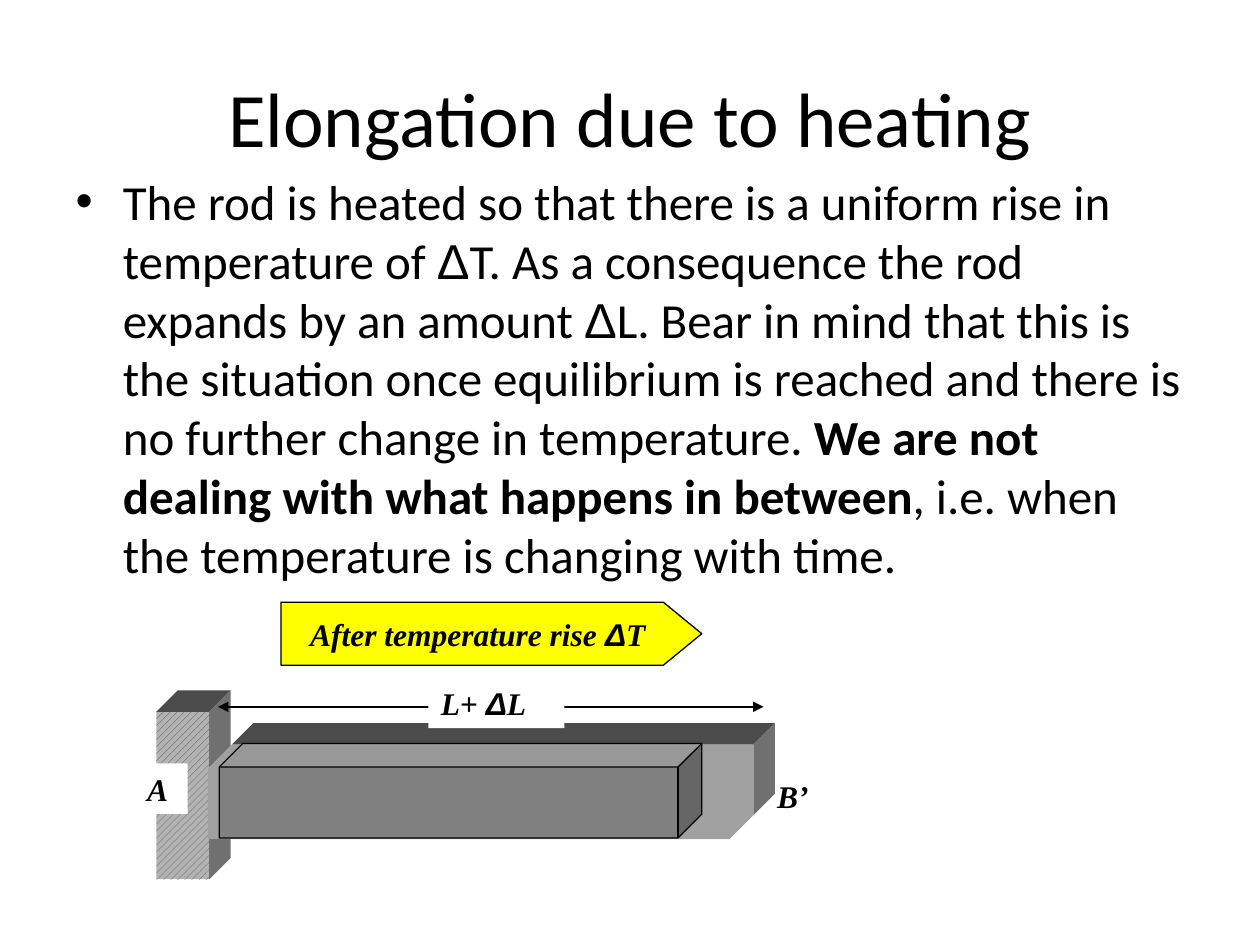
from lxml.etree import SubElement
from pptx import Presentation
from pptx.dml.color import RGBColor
from pptx.enum.dml import MSO_PATTERN as PATTERN
from pptx.enum.shapes import MSO_CONNECTOR as CONNECTOR, MSO_SHAPE as SHAPE
from pptx.enum.text import MSO_ANCHOR as ANCHOR, PP_ALIGN as ALIGN
from pptx.oxml.ns import qn
from pptx.util import Inches, Pt


def color(value):
    return RGBColor.from_string(value)


def write(paragraph, text, font_name, size):
    paragraph.font.size = Pt(size)
    paragraph.font.color.rgb = color("000000")
    for index, part in enumerate(text.split("Δ")):
        if index:
            delta = paragraph.add_run()
            delta.text = "Δ"
            delta.font.name = "Arial"
        if part:
            run = paragraph.add_run()
            run.text = part
            run.font.name = font_name


presentation = Presentation()
presentation.slide_width = Inches(10)
presentation.slide_height = Inches(7.5)
slide = presentation.slides.add_slide(presentation.slide_layouts[1])
shapes = slide.shapes

title = shapes.title
body = slide.placeholders[1]
for placeholder, top, height in ((title, 0.3, 1.25), (body, 1.31, 4.95)):
    placeholder.left, placeholder.width = Inches(0.5), Inches(9)
    placeholder.top, placeholder.height = Inches(top), Inches(height)

write(title.text_frame.paragraphs[0], "Elongation due to heating", "Calibri", 44)
paragraph = body.text_frame.paragraphs[0]
write(paragraph, "The rod is heated so that there is a uniform rise in temperature of ΔT. "
      "As a consequence the rod expands by an amount ΔL. Bear in mind that this is the "
      "situation once equilibrium is reached and there is no further change in temperature. ",
      "Calibri", 28)
for text, bold in (("We are not dealing with what happens in between", True),
                   (", i.e. when the temperature is changing with time.", False)):
    run = paragraph.add_run()
    run.text = text
    run.font.name = "Calibri"
    run.font.bold = bold

depth = 0.17
wall_left, wall_top, wall_right, wall_bottom = 1.24, 5.65, 1.66, 6.98
rod_left, rod_top, rod_right, rod_bottom, bevel = 1.65, 5.91, 5.98, 6.66, 0.19
faces = [
    ("4B4B4B", [(wall_left, wall_top), (wall_left + depth, wall_top - depth),
                (wall_right + depth, wall_top - depth), (wall_right, wall_top)]),
    ("707070", [(wall_right, wall_top), (wall_right + depth, wall_top - depth),
                (wall_right + depth, wall_bottom - depth), (wall_right, wall_bottom)]),
    ("B2B2B2", [(wall_left, wall_top), (wall_right, wall_top),
                (wall_right, wall_bottom), (wall_left, wall_bottom)]),
    ("4B4B4B", [(rod_left + bevel, rod_top), (rod_left + bevel + depth, rod_top - depth),
                (rod_right + depth, rod_top - depth), (rod_right, rod_top)]),
    ("707070", [(rod_right, rod_top), (rod_right + depth, rod_top - depth),
                (rod_right + depth, rod_bottom - bevel - depth),
                (rod_right, rod_bottom - bevel)]),
    ("A0A0A0", [(rod_left, rod_top + bevel), (rod_left + bevel, rod_top),
                (rod_right, rod_top), (rod_right, rod_bottom - bevel),
                (rod_right - bevel, rod_bottom), (rod_left, rod_bottom)]),
]
for fill, corners in faces:
    points = [(Inches(x), Inches(y)) for x, y in corners]
    builder = shapes.build_freeform(*points[0])
    builder.add_line_segments(points[1:], close=True)
    face = builder.convert_to_shape()
    face.shadow.inherit = False
    face.line.fill.background()
    if fill == "B2B2B2":
        face.fill.patterned()
        face.fill.pattern = PATTERN.WIDE_UPWARD_DIAGONAL
        face.fill.fore_color.rgb = color("505050")
        face.fill.back_color.rgb = color(fill)
    else:
        face.fill.solid()
        face.fill.fore_color.rgb = color(fill)

arrow = shapes.add_connector(CONNECTOR.STRAIGHT, Inches(1.73), Inches(5.61),
                             Inches(6.06), Inches(5.61))
arrow.line.color.rgb = color("000000")
arrow.line.width = Pt(1.5)
for end in ("a:headEnd", "a:tailEnd"):
    SubElement(arrow.line._get_or_add_ln(), qn(end), type="triangle")
SubElement(arrow._element.spPr, qn("a:effectLst"))

for text, left, top, width in (("B’", 6.07, 6.12, 0.58), ("A", 1.07, 6.06, 0.42),
                               ("L+ ΔL", 3.4, 5.38, 1.08)):
    label = shapes.add_textbox(Inches(left), Inches(top), Inches(width), Inches(0.4))
    if text != "B’":
        label.fill.solid()
        label.fill.fore_color.rgb = color("FFFFFF")
    label.text_frame.word_wrap = True
    paragraph = label.text_frame.paragraphs[0]
    write(paragraph, text, "Times New Roman", 18)
    paragraph.font.bold = paragraph.font.italic = True

rod = shapes.add_shape(SHAPE.CUBE, Inches(1.74), Inches(5.9), Inches(3.83), Inches(0.75))
banner = shapes.add_shape(SHAPE.PENTAGON, Inches(2.23), Inches(4.78), Inches(3.34), Inches(0.5))
banner.adjustments[0] = 0.61
for shape, fill in ((rod, "808080"), (banner, "FFFF00")):
    shape.shadow.inherit = False
    shape.fill.solid()
    shape.fill.fore_color.rgb = color(fill)
    shape.line.color.rgb = color("000000")
    shape.line.width = Pt(0.75)
banner.text_frame.word_wrap = False
banner.text_frame.vertical_anchor = ANCHOR.MIDDLE
paragraph = banner.text_frame.paragraphs[0]
paragraph.alignment = ALIGN.CENTER
write(paragraph, "After temperature rise ΔT ", "Times New Roman", 18)
paragraph.font.bold = paragraph.font.italic = True

presentation.save("out.pptx")
